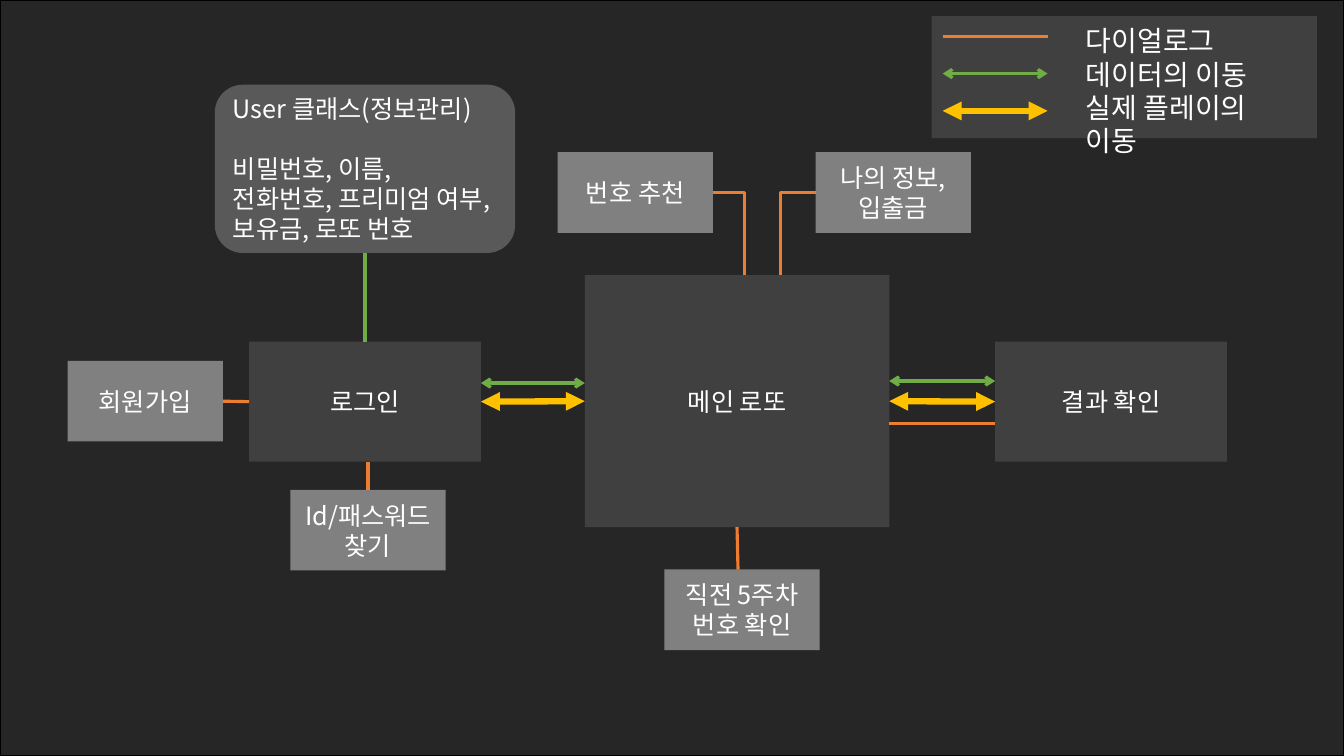
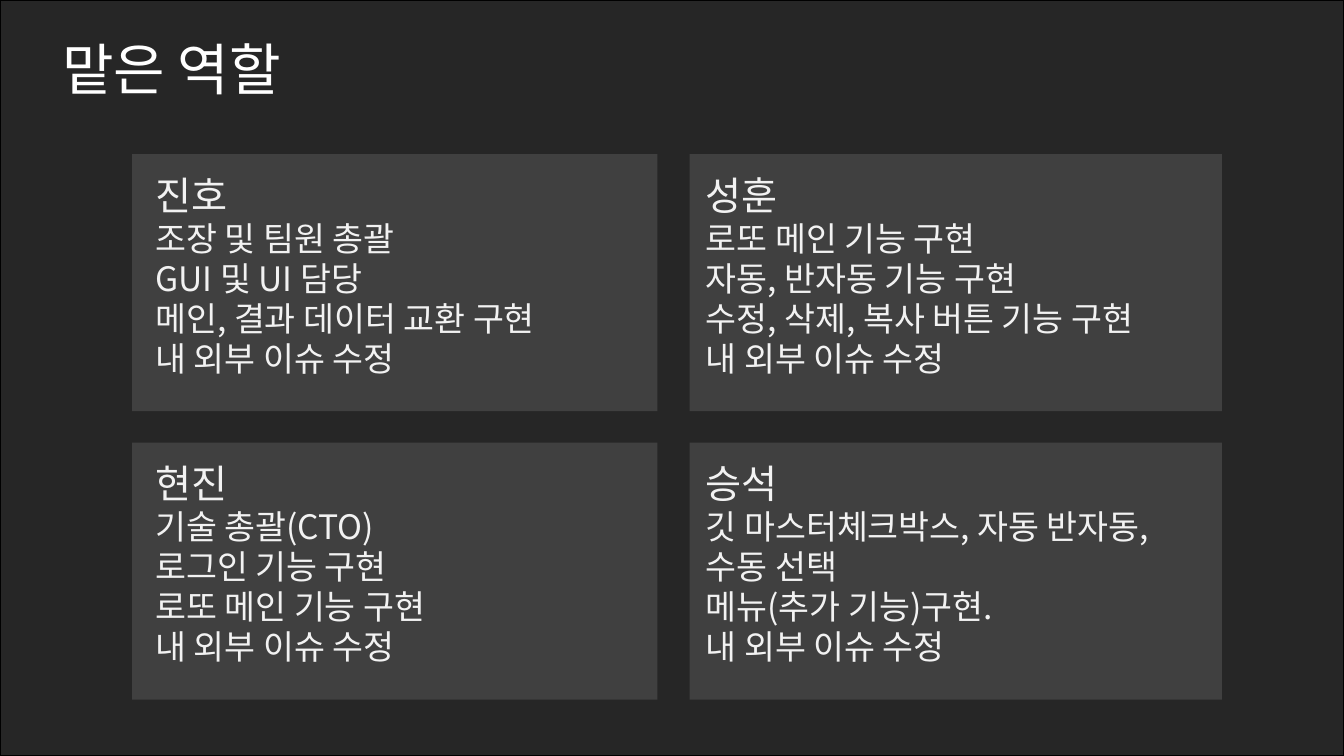
from dataclasses import dataclass

from lxml.etree import SubElement
from pptx import Presentation
from pptx.dml.color import RGBColor
from pptx.enum.shapes import MSO_CONNECTOR, MSO_SHAPE
from pptx.enum.text import MSO_ANCHOR, MSO_AUTO_SIZE, PP_ALIGN
from pptx.oxml.ns import qn
from pptx.util import Inches, Pt

FONT = "Noto Sans CJK KR"
LINE_HEIGHT = 1.19
SLIDE_WIDTH, SLIDE_HEIGHT = 13.33, 7.5
BACKDROP, PANEL, DIALOG_BOX, USER_BOX = "262626", "404040", "808080", "595959"
BLACK, WHITE, SOFT_WHITE = "000000", "FFFFFF", "F2F2F2"
TOP, LEFT, BOTTOM, RIGHT = range(4)
COMPARISON_LAYOUT, BLANK_LAYOUT = 4, 6


@dataclass(frozen=True)
class Box:
    name: str
    lines: tuple[str, ...]
    left: float
    top: float
    width: float
    height: float
    color: str


@dataclass(frozen=True)
class LinkStyle:
    color: str
    weight: float
    arrow: str | None = None


@dataclass(frozen=True)
class Link:
    """A line whose ends may be joined to a (box name, side)."""
    style: LinkStyle
    start: tuple[float, float]
    end: tuple[float, float]
    start_join: tuple[str, int] | None = None
    end_join: tuple[str, int] | None = None
    bent: bool = False


@dataclass(frozen=True)
class Role:
    member: str
    tasks: tuple[str, ...]


DIALOG = LinkStyle("ED7D31", 2.25)
USER_DATA = LinkStyle("70AD47", 2.25)
DATA_FLOW = LinkStyle("70AD47", 2.25, "arrow")
PLAY_FLOW = LinkStyle("FFC000", 4.5, "triangle")


def screen(name: str, text: str, left: float) -> Box:
    return Box(name, (text,), left, 3.39, 2.3, 1.19, PANEL)


def dialog(name: str, lines: tuple[str, ...], left: float, top: float) -> Box:
    return Box(name, lines, left, top, 1.54, 0.8, DIALOG_BOX)


BOXES = (
    screen("login", "로그인", 2.47),
    Box("main", ("메인 로또",), 5.8, 2.73, 3.02, 2.5, PANEL),
    screen("result", "결과 확인", 9.87),
    dialog("recent", ("직전 5주차 번호 확인",), 6.59, 5.65),
    dialog("recommend", ("번호 추천",), 5.53, 1.51),
    dialog("find", ("Id/패스워드", "찾기"), 2.88, 4.86),
    dialog("signup", ("회원가입",), 0.67, 3.58),
    dialog("account", ("나의 정보,", "입출금"), 8.09, 1.51),
)
USER_LINES = ("User 클래스(정보관리)", "비밀번호, 이름,",
              "전화번호, 프리미엄 여부, 보유금, 로또 번호")

LINKS = (
    Link(DIALOG, (2.21, 3.98), (2.47, 3.98), ("signup", RIGHT), ("login", LEFT)),
    Link(DIALOG, (3.65, 4.58), (3.65, 4.86), end_join=("find", TOP)),
    Link(DIALOG, (7.31, 5.23), (7.32, 5.65), start_join=("main", BOTTOM)),
    Link(DIALOG, (8.82, 4.2), (9.87, 4.2)),
    Link(DIALOG, (8.09, 1.91), (7.74, 2.73), ("account", LEFT), bent=True),
    Link(DIALOG, (7.07, 1.91), (7.38, 2.73), ("recommend", RIGHT), bent=True),
    Link(USER_DATA, (3.62, 2.51), (3.62, 3.39), ("user", BOTTOM), ("login", TOP)),
    Link(DATA_FLOW, (4.77, 3.8), (5.8, 3.8)),
    Link(DATA_FLOW, (8.82, 3.78), (9.87, 3.78)),
    Link(PLAY_FLOW, (4.77, 3.98), (5.8, 3.98), ("login", RIGHT), ("main", LEFT)),
    Link(PLAY_FLOW, (8.82, 3.98), (9.87, 3.98), ("main", RIGHT), ("result", LEFT)),
)

LEGEND = (("다이얼로그", DIALOG), ("데이터의 이동", DATA_FLOW),
          ("실제 플레이의 이동", PLAY_FLOW))

ROLES = (
    Role("진호", ("조장 및 팀원 총괄", "GUI 및 UI 담당",
                "메인, 결과 데이터 교환 구현", "내 외부 이슈 수정")),
    Role("성훈", ("로또 메인 기능 구현", "자동, 반자동 기능 구현",
                "수정, 삭제, 복사 버튼 기능 구현", "내 외부 이슈 수정")),
    Role("현진", ("기술 총괄(CTO)", "로그인 기능 구현",
                "로또 메인 기능 구현", "내 외부 이슈 수정")),
    Role("승석", ("깃 마스터체크박스, 자동 반자동, 수동 선택",
                "메뉴(추가 기능)구현.", "내 외부 이슈 수정")),
)


def rgb(color: str) -> RGBColor:
    return RGBColor.from_string(color)


def place(shape, left: float, top: float, width: float, height: float) -> None:
    shape.left, shape.top = Inches(left), Inches(top)
    shape.width, shape.height = Inches(width), Inches(height)


def write(shape, lines, *, size=18, first_size=None, color=WHITE,
          align=PP_ALIGN.LEFT, anchor=MSO_ANCHOR.MIDDLE,
          line_height=LINE_HEIGHT, gap_after_first=0) -> None:
    """Fill a shape with one paragraph per line; sizes and gap are in points."""
    frame = shape.text_frame
    frame.word_wrap = True
    frame.auto_size = MSO_AUTO_SIZE.NONE
    frame.vertical_anchor = anchor
    for index, line in enumerate(lines):
        paragraph = frame.add_paragraph() if index else frame.paragraphs[0]
        points = first_size if first_size and index == 0 else size
        paragraph.alignment = align
        paragraph.line_spacing = Pt(points * line_height)
        paragraph.space_before = Pt(gap_after_first if index == 1 else 0)
        paragraph.space_after = Pt(0)
        run = paragraph.add_run()
        run.text = line
        run.font.name = FONT
        run.font.size = Pt(points)
        run.font.bold = False
        run.font.color.rgb = rgb(color)
        SubElement(run.font._element, qn("a:ea"), typeface=FONT)


def remove_bullets(shape) -> None:
    for paragraph in shape.text_frame.paragraphs:
        properties = paragraph._p.get_or_add_pPr()
        properties.set("marL", "0")
        properties.set("indent", "0")
        SubElement(properties, qn("a:buNone"))


def add_block(slide, left, top, width, height, color,
              kind=MSO_SHAPE.RECTANGLE, outline=None):
    shape = slide.shapes.add_shape(kind, Inches(left), Inches(top),
                                   Inches(width), Inches(height))
    shape.shadow.inherit = False
    shape.fill.solid()
    shape.fill.fore_color.rgb = rgb(color)
    if outline:
        shape.line.color.rgb = rgb(outline)
        shape.line.width = Pt(1)
    else:
        shape.line.fill.background()
    return shape


def add_link(slide, link: Link, shapes: dict) -> None:
    kind = MSO_CONNECTOR.ELBOW if link.bent else MSO_CONNECTOR.STRAIGHT
    points = [Inches(value) for value in (*link.start, *link.end)]
    connector = slide.shapes.add_connector(kind, *points)
    if link.start_join:
        name, side = link.start_join
        connector.begin_connect(shapes[name], side)
    if link.end_join:
        name, side = link.end_join
        connector.end_connect(shapes[name], side)
    connector.line.color.rgb = rgb(link.style.color)
    connector.line.width = Pt(link.style.weight)
    properties = connector.element.spPr
    if link.bent:
        properties.find(qn("a:prstGeom")).set("prst", "bentConnector2")
    if link.style.arrow:
        for end in ("a:headEnd", "a:tailEnd"):
            SubElement(properties.find(qn("a:ln")), qn(end), type=link.style.arrow)
    SubElement(properties, qn("a:effectLst"))


def add_dark_slide(presentation, layout: int):
    slide = presentation.slides.add_slide(presentation.slide_layouts[layout])
    add_block(slide, 0, 0, SLIDE_WIDTH, SLIDE_HEIGHT, BACKDROP, outline=BLACK)
    return slide


def bring_to_front(shape) -> None:
    shape.element.getparent().append(shape.element)


def add_legend(slide) -> None:
    add_block(slide, 9.24, 0.16, 3.82, 1.21, PANEL)
    for index, (_, style) in enumerate(LEGEND):
        y = 0.36 + 0.37 * index
        add_link(slide, Link(style, (9.35, y), (10.39, y)), {})
    labels = slide.shapes.add_textbox(Inches(10.67), Inches(0.19),
                                      Inches(1.95), Inches(1.11))
    write(labels, [label for label, _ in LEGEND], size=20, anchor=MSO_ANCHOR.TOP)


def build_structure_slide(presentation) -> None:
    slide = add_dark_slide(presentation, BLANK_LAYOUT)
    shapes = {}
    for box in BOXES:
        shape = add_block(slide, box.left, box.top, box.width, box.height, box.color)
        write(shape, box.lines, align=PP_ALIGN.CENTER)
        shapes[box.name] = shape
    shapes["user"] = add_block(slide, 2.13, 0.84, 2.98, 1.67, USER_BOX,
                               kind=MSO_SHAPE.ROUNDED_RECTANGLE)
    write(shapes["user"], USER_LINES, gap_after_first=18 * LINE_HEIGHT)
    for link in LINKS:
        add_link(slide, link, shapes)
    add_legend(slide)


def build_roles_slide(presentation) -> None:
    slide = add_dark_slide(presentation, COMPARISON_LAYOUT)
    title, *bodies = slide.placeholders
    place(title, 0.41, 0.3, 2.58, 0.76)
    write(title, ["맡은 역할"], size=40, align=PP_ALIGN.CENTER,
          anchor=MSO_ANCHOR.BOTTOM, line_height=LINE_HEIGHT * 0.9)
    bring_to_front(title)
    columns = ((1.31, 5.21, 1.44), (6.84, 5.28, 6.9))
    for index, (role, body) in enumerate(zip(ROLES, bodies)):
        row, column = divmod(index, 2)
        card_left, card_width, text_left = columns[column]
        top = 1.53 + 2.86 * row
        add_block(slide, card_left, top, card_width, 2.55, PANEL)
        place(body, text_left, top + 0.12, 5, 2.19)
        write(body, (role.member, *role.tasks), size=24, first_size=28,
              color=SOFT_WHITE, anchor=MSO_ANCHOR.TOP)
        remove_bullets(body)
        bring_to_front(body)


def main() -> None:
    presentation = Presentation()
    presentation.slide_width = Inches(SLIDE_WIDTH)
    presentation.slide_height = Inches(SLIDE_HEIGHT)
    build_structure_slide(presentation)
    build_roles_slide(presentation)
    presentation.save("out.pptx")


if __name__ == "__main__":
    main()
